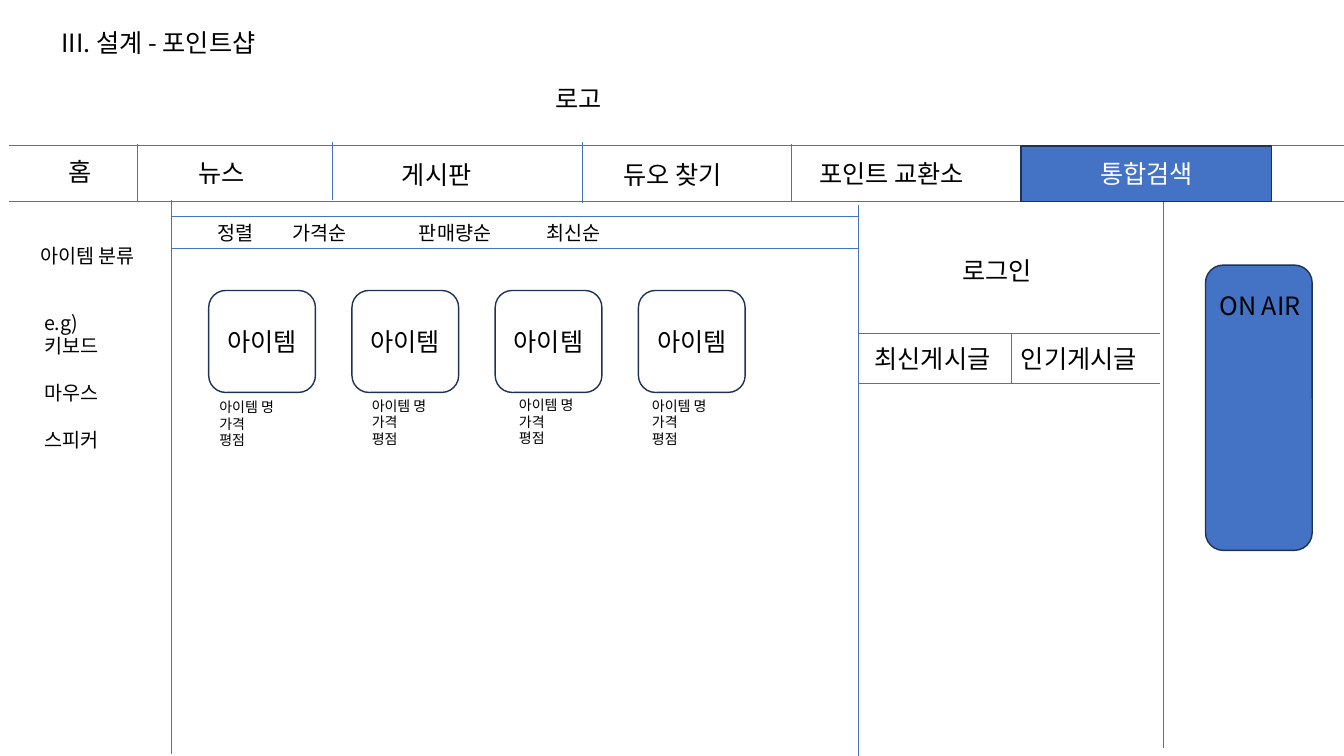
from lxml import etree
from pptx import Presentation
from pptx.dml.color import RGBColor
from pptx.enum.shapes import MSO_CONNECTOR, MSO_SHAPE
from pptx.enum.text import MSO_ANCHOR, MSO_AUTO_SIZE, PP_ALIGN
from pptx.oxml.ns import qn
from pptx.util import Cm, Pt

LINE = MSO_CONNECTOR.STRAIGHT
RECT, ROUND = MSO_SHAPE.RECTANGLE, MSO_SHAPE.ROUNDED_RECTANGLE
TOP, MIDDLE = MSO_ANCHOR.TOP, MSO_ANCHOR.MIDDLE
LEFT, CENTER = PP_ALIGN.LEFT, PP_ALIGN.CENTER
NO_FIT = MSO_AUTO_SIZE.NONE

COLORS = {"accent": "4472C4", "edge": "1E3256", "white": "FFFFFF", "black": "000000"}
FONT = "Noto Sans CJK KR"
LINE_PITCH = 1.2


def rgb(name):
    return RGBColor.from_string(COLORS[name])


def write(tf, text, size=18, color="black", align=LEFT, anchor=TOP,
          wrap=True, gaps=(), tabs=()):
    tf.word_wrap = wrap
    tf.auto_size = NO_FIT
    tf.vertical_anchor = anchor
    tf.margin_left = tf.margin_right = Cm(0.25)
    tf.margin_top = tf.margin_bottom = Cm(0.13)
    for i, line in enumerate(text.split("\n")):
        p = tf.paragraphs[0] if i == 0 else tf.add_paragraph()
        p.alignment = align
        p.line_spacing = Pt(LINE_PITCH * size)
        p.space_before = Pt(LINE_PITCH * size if i in gaps else 0)
        r = p.add_run()
        r.text = line
        r.font.size = Pt(size)
        r.font.color.rgb = rgb(color)
        r.font.name = FONT
        etree.SubElement(r.font._element, qn("a:ea"), typeface=FONT)
        if tabs:
            stops = etree.SubElement(p._p.get_or_add_pPr(), qn("a:tabLst"))
            for pos in tabs:
                etree.SubElement(stops, qn("a:tab"), pos=str(Cm(pos)), algn="l")


class Wireframe:
    def __init__(self, prs):
        self.slide = prs.slides.add_slide(prs.slide_layouts[5])
        self.shapes = self.slide.shapes

    def title(self, text, x, y, w, h):
        sp = self.shapes.title
        sp.left, sp.top, sp.width, sp.height = Cm(x), Cm(y), Cm(w), Cm(h)
        write(sp.text_frame, text, wrap=False)

    def line(self, x1, y1, x2, y2):
        cxn = self.shapes.add_connector(LINE, Cm(x1), Cm(y1), Cm(x2), Cm(y2))
        cxn.line.color.rgb = rgb("accent")
        cxn.line.width = Pt(0.5)
        etree.SubElement(cxn._element.spPr, qn("a:effectLst"))

    def label(self, text, x, y, w, h=1.02, **fmt):
        sp = self.shapes.add_textbox(Cm(x), Cm(y), Cm(w), Cm(h))
        write(sp.text_frame, text, **fmt)

    def box(self, kind, x, y, w, h, fill="accent", text="", color="black"):
        sp = self.shapes.add_shape(kind, Cm(x), Cm(y), Cm(w), Cm(h))
        sp.shadow.inherit = False
        sp.fill.solid()
        sp.fill.fore_color.rgb = rgb(fill)
        sp.line.color.rgb = rgb("edge")
        sp.line.width = Pt(1)
        if text:
            write(sp.text_frame, text, color=color, align=CENTER, anchor=MIDDLE)


def main():
    prs = Presentation()
    prs.slide_width, prs.slide_height = Cm(33.87), Cm(19.05)
    s = Wireframe(prs)
    s.title("III. 설계 - 포인트샵", 1.3, 0.56, 5.97, 1.02)
    s.label("로고", 13.74, 1.96, 2.06, 1.8)

    for y in (3.66, 5.08):
        s.line(0.23, y, 33.86, y)
    for x, top, bottom in ((3.45, 3.63, 5.08), (8.38, 3.58, 5.03),
                           (14.68, 3.58, 5.11), (19.94, 3.63, 5.08)):
        s.line(x, top, x, bottom)
    for x, top in ((4.32, 5.03), (21.64, 5.16), (29.31, 4.88)):
        s.line(x, top, x, top + 13.97)
    for y in (5.44, 6.27):
        s.line(4.32, y, 21.62, y)
    for y in (8.41, 9.65):
        s.line(21.62, y, 29.24, y)
    s.line(25.48, 8.41, 25.48, 9.65)

    for text, x, y, w in (("홈", 1.47, 3.81, 3.96), ("뉴스", 4.75, 3.84, 3.63),
                          ("게시판", 9.88, 3.89, 3.86), ("듀오 찾기", 15.47, 3.89, 3.66),
                          ("포인트 교환소", 20.4, 3.86, 4.85)):
        s.label(text, x, y, w)
    s.box(RECT, 25.73, 3.68, 6.32, 1.4, text="통합검색", color="white")

    s.label("로그인", 24, 6.3, 4.32, 1.8)
    s.label("최신게시글", 21.79, 8.51, 3.81)
    s.label("인기게시글", 25.48, 8.51, 3.81)
    s.box(ROUND, 30.38, 6.68, 2.69, 7.19)
    s.label("ON AIR", 30.48, 7.19, 3.1)

    s.label("아이템 분류", 0.76, 6.02, 3.48, 0.86, size=14)
    s.label("e.g)\n키보드\n마우스\n스피커", 0.86, 7.7, 3.48, 3.84, size=14, gaps=(2, 3))
    s.label("정렬\t가격순\t판매량순\t최신순", 5.23, 5.44, 15.32, 0.86,
            size=14, tabs=(1.88, 5.08, 8.29))

    captions = ((5.28, 9.91), (9.12, 9.88), (12.83, 9.86), (16.18, 9.88))
    for i, (x, y) in enumerate(captions):
        s.box(ROUND, 5.26 + 3.61 * i, 7.32, 2.69, 2.57, "white", "아이템")
        s.label("아이템 명\n가격\n평점", x, y, 2.79, 1.55, size=10)

    prs.save("out.pptx")


if __name__ == "__main__":
    main()
